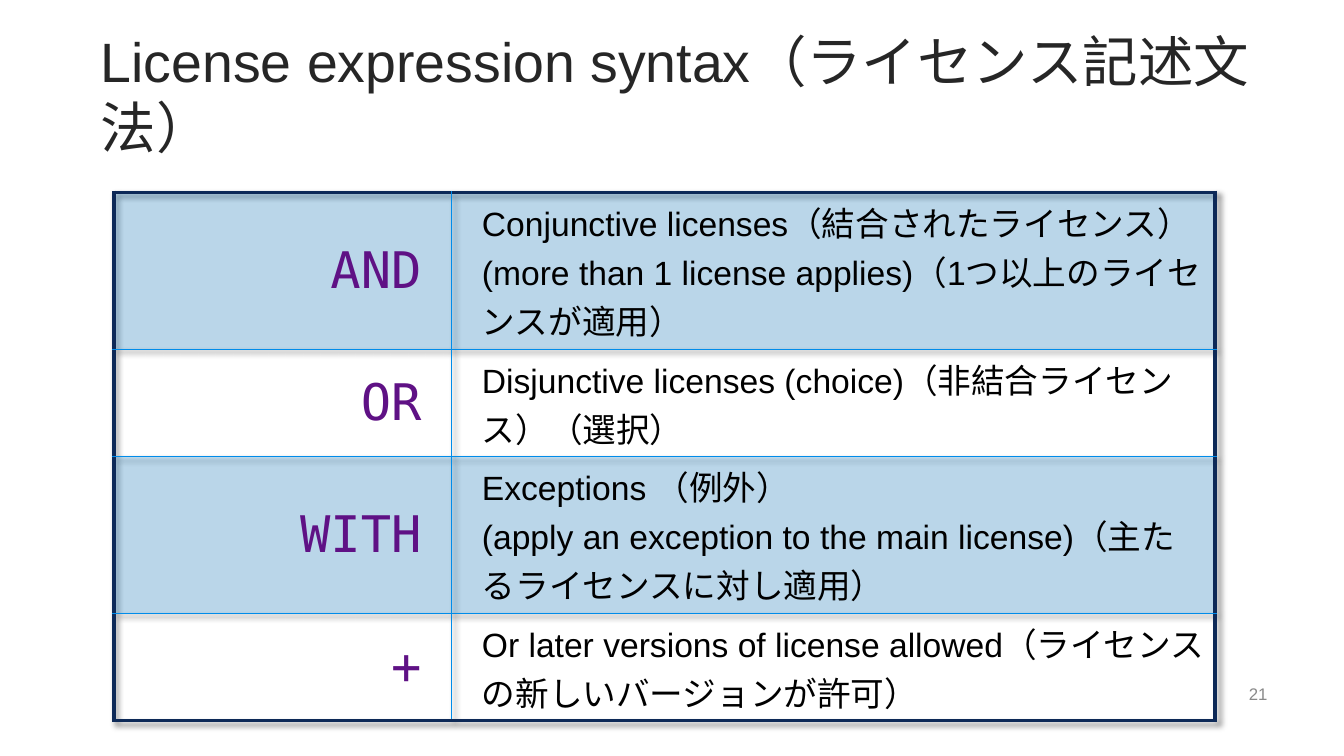
from dataclasses import dataclass
from lxml import etree
from pptx import Presentation
from pptx import util as u
from pptx.dml.color import RGBColor
from pptx.enum import text
from pptx.oxml import ns


@dataclass(frozen=True)
class Theme:
    sans: str = "Arial"
    mono: str = "DejaVu Sans Mono"
    ink: str = "000000"
    head: str = "262626"
    muted: str = "898989"
    term: str = "5F1185"
    blue: str = "008CEA"
    navy: str = "0D2957"
    title: float = 39.6
    key: float = 36
    body: float = 24
    small: float = 12


T = Theme()
ALIGN = text.PP_ALIGN
MID = text.MSO_ANCHOR.MIDDLE
RULES = [
    ("AND", ["Conjunctive licenses（結合されたライセンス）",
             "(more than 1 license applies)（1つ以上のライセンスが適用）"]),
    ("OR", ["Disjunctive licenses (choice)（非結合ライセンス）（選択）"]),
    ("WITH", ["Exceptions （例外）",
              "(apply an exception to the main license)（主たるライセンスに対し適用）"]),
    ("+", ["Or later versions of license allowed（ライセンスの新しいバージョンが許可）"]),
]


def sub(node, tag, **attrs):
    return etree.SubElement(node, ns.qn(tag), attrs)


def write(frame, lines, font, size, color, align=ALIGN.LEFT):
    for i, line in enumerate(lines):
        para = frame.paragraphs[0] if i == 0 else frame.add_paragraph()
        para.alignment = align
        run = para.add_run()
        run.text = line
        for name, value in {"name": font, "size": u.Pt(size)}.items():
            setattr(run.font, name, value)
        run.font.color.rgb = RGBColor.from_string(color)


def label(slide, box, line, **style):
    frame = slide.shapes.add_textbox(*map(u.Inches, box)).text_frame
    for name, value in {"word_wrap": True, "vertical_anchor": MID}.items():
        setattr(frame, name, value)
    write(frame, [line], **style)


def edge(cell, outer, fill):
    """Border each side, navy where it lies on the outer frame."""
    props = cell._tc.get_or_add_tcPr()
    for side, out in outer.items():
        line = sub(props, "a:ln" + side, w=str(u.Pt(3 if out else 1)))
        paint = sub(line, "a:solidFill")
        sub(paint, "a:srgbClr", val=T.navy if out else T.blue)
    if fill:
        color = sub(sub(props, "a:solidFill"), "a:srgbClr", val=T.blue)
        sub(color, "a:alpha", val="20000")
    else:
        sub(props, "a:noFill")


def shade(table):
    """Soft shadow below and to the right of the table."""
    props = table._tbl.tblPr
    for node in list(props):
        props.remove(node)
    glow = sub(sub(props, "a:effectLst"), "a:outerShdw", blurRad="50800",
               dist="38100", dir="2700000", algn="tl", rotWithShape="0")
    sub(sub(glow, "a:prstClr", val="black"), "a:alpha", val="43000")


def grid(slide, box):
    left, top, width, height = map(u.Inches, box)
    last = len(RULES) - 1
    table = slide.shapes.add_table(len(RULES), 2, left, top, width, height).table
    for name in ("first_row", "horz_banding"):
        setattr(table, name, False)
    shade(table)
    first = u.Inches(3.35)
    table.columns[0].width, table.columns[1].width = first, width - first

    for r, (key, notes) in enumerate(RULES):
        # Two notes wrap to three lines, one note to two
        share = 0.203 if len(notes) == 1 else 0.297
        table.rows[r].height = int(height * share)
        parts = [
            ([key], T.mono, T.key, T.term, ALIGN.RIGHT, 0.1, 0.3),
            (notes, T.sans, T.body, T.ink, ALIGN.LEFT, 0.3, 0.1),
        ]
        for c, (lines, font, size, color, align, near, far) in enumerate(parts):
            cell = table.cell(r, c)
            form = {"margin_left": u.Inches(near), "margin_right": u.Inches(far),
                    "vertical_anchor": MID}
            for name, value in form.items():
                setattr(cell, name, value)
            write(cell.text_frame, lines, font, size, color, align)
            edge(cell, {"L": c == 0, "R": c == 1, "T": r == 0, "B": r == last},
                 fill=r % 2 == 0)


def syntax(deck):
    slide = deck.slides.add_slide(deck.slide_layouts[6])
    # Title
    label(slide, (0.9, 0.3, 11.64, 1.25),
          "License expression syntax（ライセンス記述文法）",
          font=T.sans, size=T.title, color=T.head)
    # Page number
    label(slide, (11.92, 6.68, 0.75, 0.4), "21",
          font=T.sans, size=T.small, color=T.muted, align=ALIGN.RIGHT)
    # Operators and their meaning
    grid(slide, (1.13, 1.91, 10.92, 5.24))


def main():
    deck = Presentation()
    deck.slide_width, deck.slide_height = u.Inches(13.33), u.Inches(7.5)
    syntax(deck)
    deck.save("out.pptx")


if __name__ == "__main__":
    main()
